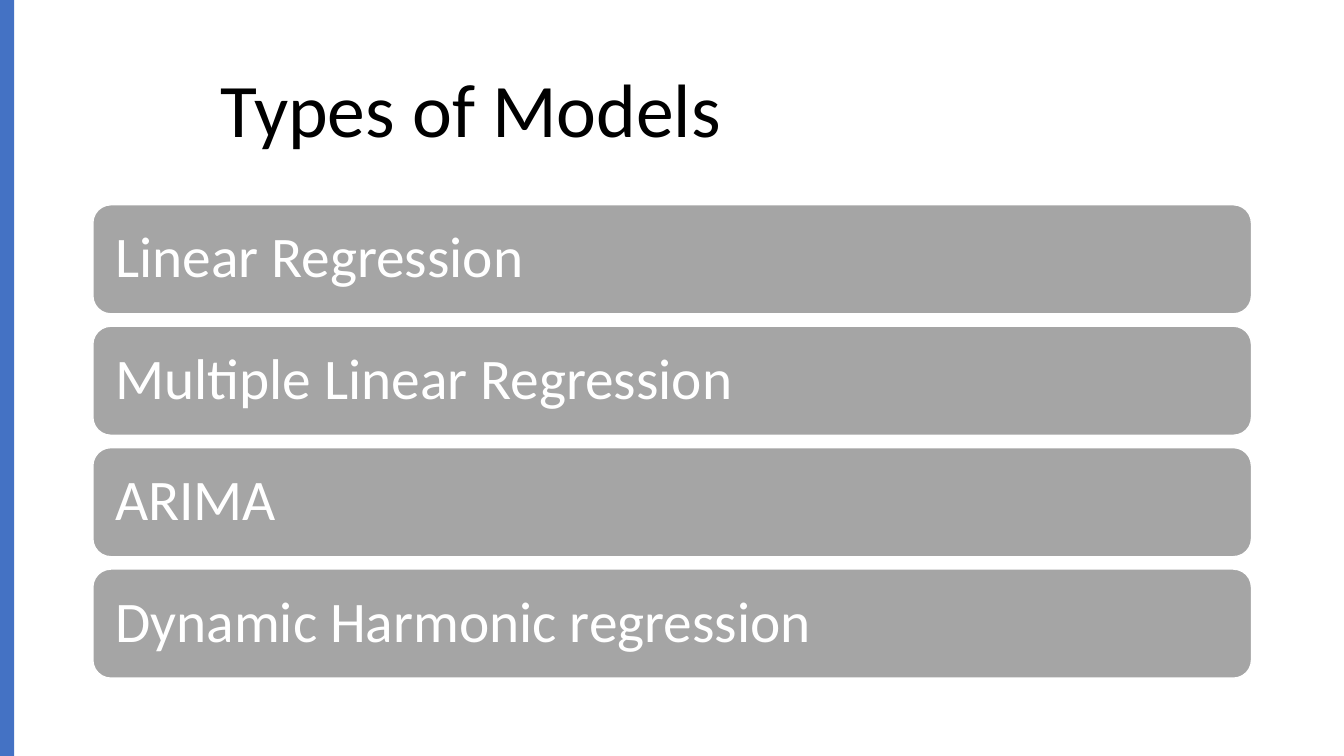
from pptx import Presentation
from pptx.dml.color import RGBColor
from pptx.enum.shapes import MSO_SHAPE
from pptx.enum.text import MSO_ANCHOR, PP_ALIGN
from pptx.util import Cm, Pt

RECTANGLE = MSO_SHAPE.RECTANGLE
ROUNDED = MSO_SHAPE.ROUNDED_RECTANGLE
MIDDLE = MSO_ANCHOR.MIDDLE
LEFT = PP_ALIGN.LEFT

TITLE_ONLY = 5
WIDTH, HEIGHT = 33.87, 19.05
FONT = "Calibri"
BLACK, WHITE, BLUE, GRAY = "000000", "FFFFFF", "4472C4", "A5A5A5"
MODELS = ["Linear Regression", "Multiple Linear Regression", "ARIMA",
          "Dynamic Harmonic regression"]


def color(value):
    return RGBColor.from_string(value)


def write(shape, text, size, font_color):
    frame = shape.text_frame
    frame.word_wrap = True
    frame.vertical_anchor = MIDDLE
    paragraph = frame.paragraphs[0]
    paragraph.alignment = LEFT
    paragraph.line_spacing = 0.9
    run = paragraph.add_run()
    run.text = text
    run.font.name = FONT
    run.font.size = Pt(size)
    run.font.color.rgb = color(font_color)


def add_filled(slide, kind, box, fill):
    shape = slide.shapes.add_shape(kind, *map(Cm, box))
    shape.shadow.inherit = False
    shape.fill.solid()
    shape.fill.fore_color.rgb = color(fill)
    shape.line.fill.background()
    return shape


def place_title(slide, box, text):
    title = slide.shapes.title
    title.left, title.top, title.width, title.height = map(Cm, box)
    write(title, text, 54, BLACK)


def add_model_list(slide, box, models, gap=0.31):
    left, top, width, height = box
    bar_height = (height - gap * (len(models) - 1)) / len(models)
    for index, model in enumerate(models):
        bar_top = top + index * (bar_height + gap)
        bar = add_filled(slide, ROUNDED, (left, bar_top, width, bar_height), GRAY)
        bar.line.color.rgb = color(WHITE)
        bar.line.width = Pt(1)
        frame = bar.text_frame
        frame.margin_left = frame.margin_right = Cm(0.43)
        frame.margin_top = frame.margin_bottom = Cm(0.43)
        write(bar, model, 41, WHITE)


presentation = Presentation()
presentation.slide_width, presentation.slide_height = Cm(WIDTH), Cm(HEIGHT)
slide = presentation.slides.add_slide(presentation.slide_layouts[TITLE_ONLY])

# Title and accent stripe on the left edge
place_title(slide, (5.31, 1.02, 26.21, 3.68), "Types of Models")
add_filled(slide, RECTANGLE, (0, 0, 0.36, HEIGHT), BLUE)

# List of models
add_model_list(slide, (2.34, 5.16, 29.2, 11.93), MODELS)

presentation.save("out.pptx")
